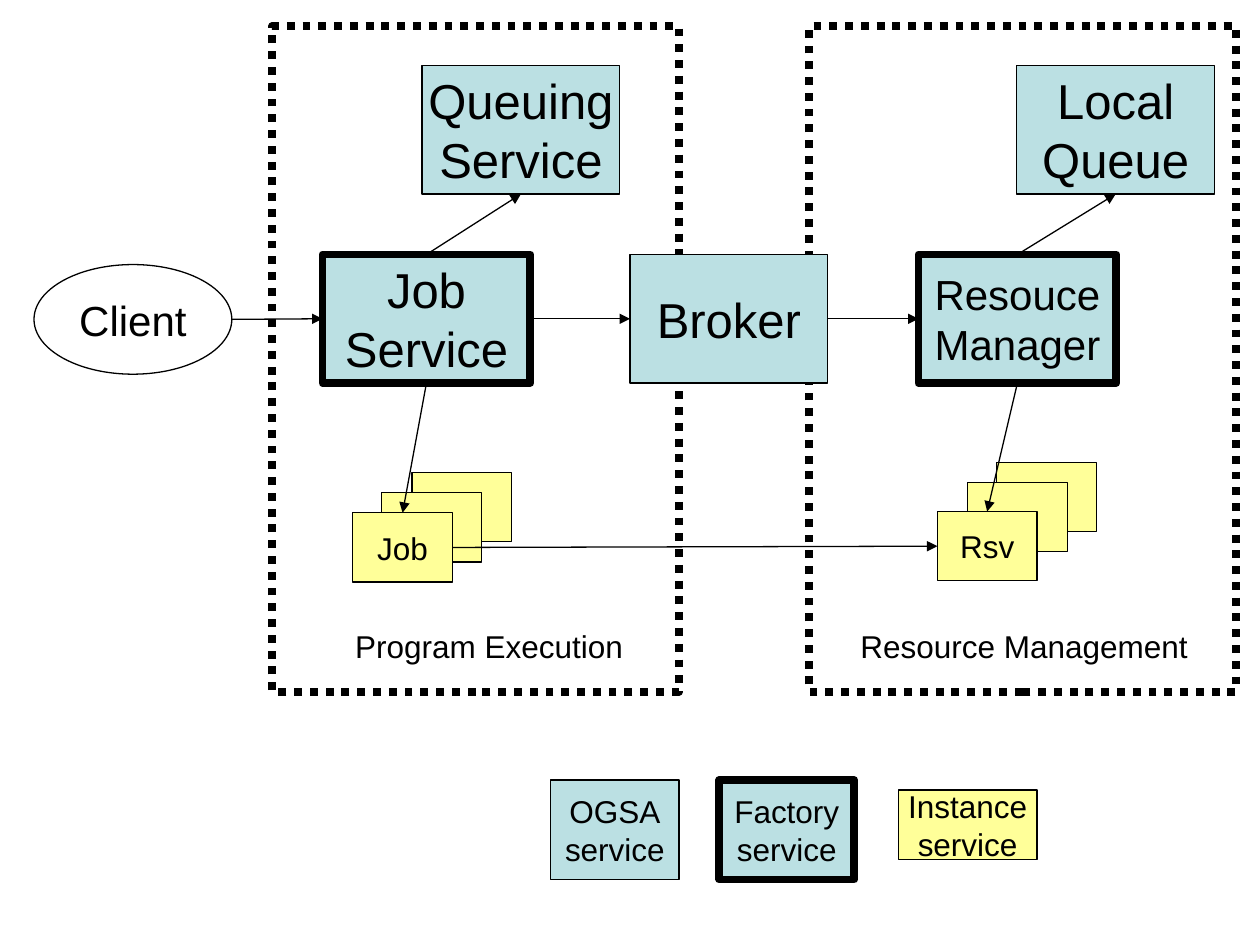
"""Build a one-slide diagram of job and resource management services."""
from dataclasses import dataclass
from typing import Optional

from lxml.etree import SubElement
from pptx import Presentation
from pptx.dml.color import RGBColor
from pptx.enum.dml import MSO_LINE_DASH_STYLE as Dash
from pptx.enum.shapes import MSO_CONNECTOR as Connector, MSO_SHAPE as Shape
from pptx.enum.text import MSO_ANCHOR as Anchor, MSO_AUTO_SIZE as AutoSize, PP_ALIGN as Align
from pptx.oxml.ns import qn
from pptx.util import Inches, Pt

BLACK = RGBColor(0x00, 0x00, 0x00)
TEAL = RGBColor(0xBB, 0xE0, 0xE3)
YELLOW = RGBColor(0xFF, 0xFF, 0x99)
FONT = "Arial"
THIN, THICK = 0.75, 4.5
TOP, LEFT, BOTTOM, RIGHT = range(4)


@dataclass(frozen=True)
class Node:
    name: str
    left: float
    top: float
    width: float
    height: float
    lines: tuple[str, ...] = ()
    size: int = 18
    fill: Optional[RGBColor] = TEAL
    border: float = THIN
    shape: Shape = Shape.RECTANGLE
    dash: Optional[Dash] = None


@dataclass(frozen=True)
class Label:
    text: str
    left: float
    width: float


@dataclass(frozen=True)
class Link:
    source: str
    source_side: int
    target: str
    target_side: int


def domain(name: str, left: float, width: float) -> Node:
    return Node(name, left, 0.21, width, 5.28, fill=None, border=THICK, dash=Dash.ROUND_DOT)


def service(name: str, left: float, top: float, *lines: str, size: int = 28,
            width: float = 1.57, border: float = THIN) -> Node:
    return Node(name, left, top, width, 1.02, lines, size, border=border)


def instance(name: str, left: float, top: float, *lines: str, width: float = 0.79) -> Node:
    return Node(name, left, top, width, 0.55, lines, fill=YELLOW)


NODES = [
    domain("resource domain", 6.42, 3.39),
    domain("execution domain", 2.16, 3.23),
    service("job service", 2.56, 2.02, "Job", "Service", width=1.65, border=THICK),
    service("broker", 5, 2.02, "Broker"),
    service("manager", 7.29, 2.02, "Resouce", "Manager", size=24, border=THICK),
    Node("client", 0.27, 2.1, 1.57, 0.87, ("Client",), 24, None, shape=Shape.OVAL),
    service("queuing", 3.35, 0.52, "Queuing", "Service"),
    service("local queue", 8.07, 0.52, "Local", "Queue"),
    instance("back job", 3.27, 3.75),
    instance("middle job", 3.03, 3.91),
    instance("job", 2.8, 4.07, "Job"),
    instance("back reservation", 7.91, 3.67),
    instance("middle reservation", 7.68, 3.83),
    instance("reservation", 7.44, 4.06, "Rsv"),
    Node("factory key", 5.71, 6.19, 1.07, 0.79, ("Factory", "service"), border=THICK),
    Node("service key", 4.37, 6.19, 1.02, 0.79, ("OGSA", "service")),
    instance("instance key", 7.13, 6.27, "Instance", "service", width=1.1),
]

LABELS = [Label("Program Execution", 2.72, 2.35), Label("Resource Management", 6.73, 2.82)]

LINKS = [
    Link("client", RIGHT, "job service", LEFT),
    Link("job service", RIGHT, "broker", LEFT),
    Link("broker", RIGHT, "manager", LEFT),
    Link("job service", TOP, "queuing", BOTTOM),
    Link("manager", TOP, "local queue", BOTTOM),
    Link("job service", BOTTOM, "job", TOP),
    Link("manager", BOTTOM, "reservation", TOP),
    Link("job", RIGHT, "reservation", LEFT),
]


def write_lines(frame, lines: tuple[str, ...], size: int, align: Align) -> None:
    frame.word_wrap = False
    for index, line in enumerate(lines):
        para = frame.add_paragraph() if index else frame.paragraphs[0]
        para.alignment = align
        span = para.add_run()
        span.text = line
        span.font.name = FONT
        span.font.size = Pt(size)
        span.font.color.rgb = BLACK


def draw_node(page, node: Node):
    box = page.shapes.add_shape(node.shape, Inches(node.left), Inches(node.top),
                                Inches(node.width), Inches(node.height))
    box.shadow.inherit = False
    if node.fill is None:
        box.fill.background()
    else:
        box.fill.solid()
        box.fill.fore_color.rgb = node.fill
    box.line.color.rgb = BLACK
    box.line.width = Pt(node.border)
    if node.dash is not None:
        box.line.dash_style = node.dash
    if node.lines:
        box.text_frame.vertical_anchor = Anchor.MIDDLE
        write_lines(box.text_frame, node.lines, node.size, Align.CENTER)
    return box


def draw_label(page, label: Label) -> None:
    box = page.shapes.add_textbox(Inches(label.left), Inches(4.93),
                                  Inches(label.width), Inches(0.4))
    write_lines(box.text_frame, (label.text,), 18, Align.LEFT)
    box.text_frame.auto_size = AutoSize.SHAPE_TO_FIT_TEXT


def draw_link(page, link: Link, boxes: dict) -> None:
    source, target = boxes[link.source], boxes[link.target]
    arrow = page.shapes.add_connector(Connector.STRAIGHT, source.left + source.width,
                                      source.top + source.height // 2,
                                      target.left, target.top)
    if source.auto_shape_type == Shape.RECTANGLE:
        arrow.begin_connect(source, link.source_side)
    arrow.end_connect(target, link.target_side)
    arrow.line.color.rgb = BLACK
    arrow.line.width = Pt(THIN)
    SubElement(arrow.line._get_or_add_ln(), qn("a:tailEnd"), type="triangle")
    SubElement(arrow._element.spPr, qn("a:effectLst"))


def main() -> None:
    deck = Presentation()
    deck.slide_width, deck.slide_height = Inches(10), Inches(7.5)
    page = deck.slides.add_slide(deck.slide_layouts[6])
    boxes = {node.name: draw_node(page, node) for node in NODES}
    for label in LABELS:
        draw_label(page, label)
    for link in LINKS:
        draw_link(page, link, boxes)
    deck.save("out.pptx")


if __name__ == "__main__":
    main()
